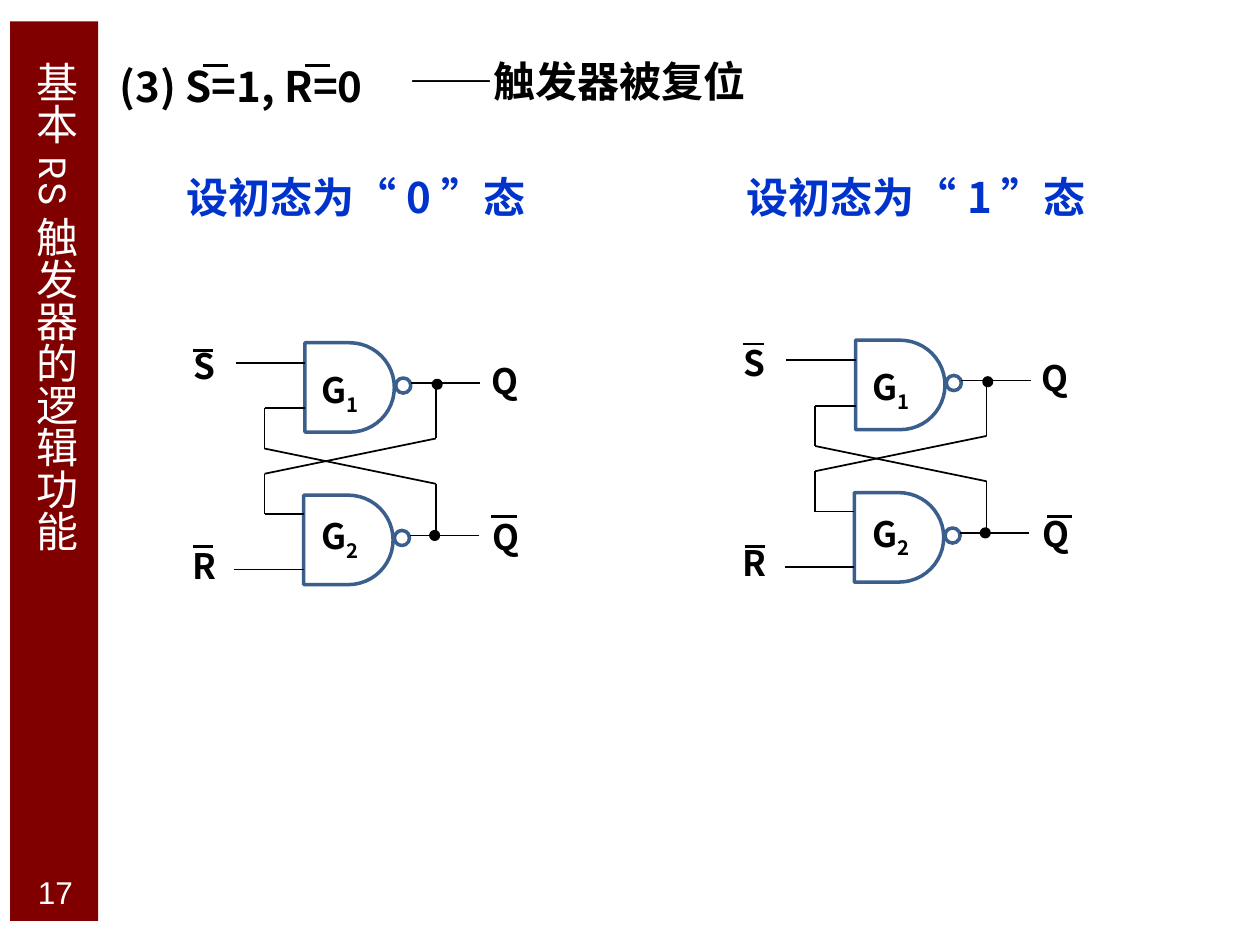
from lxml import etree
from pptx import Presentation
from pptx.dml.color import RGBColor
from pptx.enum.shapes import MSO_CONNECTOR, MSO_SHAPE
from pptx.enum.text import MSO_ANCHOR, PP_ALIGN
from pptx.oxml.ns import qn
from pptx.util import Inches, Pt

COLORS = {"band": "800000", "white": "FFFFFF", "black": "000000",
          "blue": "0033CC", "gate": "3A5F8C"}
BODY_FONT = "Noto Sans CJK SC"


class SlideBuilder:
    """Holds the style and the current slide; shapes is the current target."""

    def __init__(self, prs):
        self.s = prs.slides.add_slide(prs.slide_layouts[5])
        self.shapes = self.s.shapes

    def begin_group(self):
        self.shapes = self.s.shapes.add_group_shape().shapes

    def end_group(self):
        self.shapes = self.s.shapes

    def color(self, name):
        return RGBColor.from_string(COLORS[name])

    def style(self, p, size, color, font=BODY_FONT, bold=True):
        f = p.font
        f.size, f.bold, f.name = Pt(size), bold, font
        f.color.rgb = self.color(color)
        etree.SubElement(f._element, qn("a:ea")).set("typeface", font)

    def shape(self, kind, x, y, w, h, fill=None, line=None):
        sp = self.shapes.add_shape(kind, Inches(x), Inches(y), Inches(w), Inches(h))
        sp.shadow.inherit = False
        if fill:
            sp.fill.solid()
            sp.fill.fore_color.rgb = self.color(fill)
        else:
            sp.fill.background()
        if line:
            sp.line.color.rgb = self.color(line)
            sp.line.width = Pt(2)
        else:
            sp.line.fill.background()
        return sp

    def line(self, x1, y1, x2, y2, width=1):
        c = self.shapes.add_connector(MSO_CONNECTOR.STRAIGHT, Inches(x1), Inches(y1),
                                      Inches(x2), Inches(y2))
        c.line.color.rgb = self.color("black")
        c.line.width = Pt(width)
        etree.SubElement(c._element.spPr, qn("a:effectLst"))

    def text(self, text, x, y, w, h, size=24, color="black", align=PP_ALIGN.LEFT,
             spacing=0.9, sub=None, wrap=True):
        tf = self.shapes.add_textbox(Inches(x), Inches(y), Inches(w), Inches(h)).text_frame
        tf.word_wrap = wrap
        p = tf.paragraphs[0]
        p.alignment, p.line_spacing = align, spacing
        p.add_run().text = text
        if sub:
            r = p.add_run()
            r.text = sub
            r._r.get_or_add_rPr().set("baseline", "-25000")
        self.style(p, size, color)

    def title(self, text, x, y, w, h):
        sp = self.s.shapes.title
        sp.left, sp.top, sp.width, sp.height = map(Inches, (x, y, w, h))
        tf = sp.text_frame
        tf.text = text
        tf.word_wrap = True
        tf.vertical_anchor = MSO_ANCHOR.MIDDLE
        tf._txBody.bodyPr.set("vert", "eaVert")
        p = tf.paragraphs[0]
        p.alignment = PP_ALIGN.LEFT
        self.style(p, 24, "white", "Karla", False)
        self.s.shapes._spTree.append(sp._element)  # in front of the band

    def page_number(self, text, x, y, w, h):
        tf = self.shape(MSO_SHAPE.RECTANGLE, x, y, w, h).text_frame
        tf.text = text
        tf.vertical_anchor = MSO_ANCHOR.MIDDLE
        p = tf.paragraphs[0]
        p.alignment = PP_ALIGN.CENTER
        self.style(p, 18, "white", "Arial", False)

    def gate(self, x, y, number, label_x, label_y):
        self.shape(MSO_SHAPE.OVAL, x + 0.72, y + 0.28, 0.12, 0.12, line="gate")
        self.shape(MSO_SHAPE.FLOWCHART_DELAY, x, y, 0.71, 0.71, line="gate")
        self.text("G", label_x, label_y, 0.64, 0.4, 20, align=PP_ALIGN.CENTER, sub=number)

    def latch(self, x, y, bars):
        """RS latch; x, y is the left end of the S wire."""
        self.begin_group()
        # Gates
        self.gate(x + 0.55, y - 0.16, "1", x + 0.51, y)
        self.gate(x + 0.54, y + 1.05, "2", x + 0.51, y + 1.16)
        # Inputs, outputs and cross-coupled feedback
        for x1, y1, x2, y2 in [
            (0, 0, 0.55, 0), (-0.01, 1.64, 0.54, 1.64),
            (1.39, 0.16, 1.94, 0.16), (1.38, 1.37, 1.93, 1.37),
            (0.23, 0.36, 0.55, 0.36), (0.23, 0.36, 0.23, 0.68),
            (0.23, 0.68, 1.59, 0.96), (1.59, 0.96, 1.59, 1.36),
            (0.23, 1.2, 0.54, 1.2), (0.23, 0.88, 0.23, 1.2),
            (1.59, 0.6, 0.23, 0.88), (1.59, 0.16, 1.59, 0.6),
        ]:
            self.line(x + x1, y + y1, x + x2, y + y2)
        # Junctions
        for dx, dy in [(1.57, 0.14), (1.55, 1.34)]:
            self.shape(MSO_SHAPE.OVAL, x + dx, y + dy, 0.06, 0.06, "black", "black")
        # Signal names and inversion bars
        for name, dx, dy, align in [
            ("S", -0.57, -0.16, PP_ALIGN.CENTER), ("R", -0.57, 1.43, PP_ALIGN.CENTER),
            ("Q", 1.7, -0.04, PP_ALIGN.RIGHT), ("Q", 1.71, 1.2, PP_ALIGN.RIGHT),
        ]:
            self.text(name, x + dx, y + dy, 0.64, 0.4, 20, align=align)
        for bar_x, bar_y, length in bars:
            self.line(bar_x, bar_y, bar_x + length, bar_y, 1.5)
        self.end_group()


def main():
    prs = Presentation()
    prs.slide_width, prs.slide_height = Inches(10), Inches(7.5)
    b = SlideBuilder(prs)

    # Side band with title and page number
    b.shape(MSO_SHAPE.RECTANGLE, 0.08, 0.17, 0.7, 7.14, fill="band")
    b.page_number("17", 0.12, 6.9, 0.64, 0.35)
    b.title("基本RS触发器的逻辑功能", 0.12, 0.44, 0.65, 6.72)

    # Input condition and result
    b.begin_group()
    b.text("(3) S=1, R=0", 0.85, 0.48, 9.15, 0.47)
    for x in (1.61, 2.42):
        b.line(x, 0.52, x + 0.2, 0.52, 2)
    b.end_group()
    b.text("——触发器被复位", 3.15, 0.44, 2.91, 0.47, wrap=False)

    # Initial states
    for x, state in [(1.38, "0"), (5.83, "1")]:
        b.text(f"设初态为“{state}”态", x, 1.31, 2.91, 0.5, color="blue", spacing=1.0)

    # Latches
    b.latch(1.87, 2.88, [(1.53, 2.78, 0.16), (1.53, 4.34, 0.16), (3.9, 4.1, 0.2)])
    b.latch(6.24, 2.86, [(5.9, 2.73, 0.16), (5.91, 4.34, 0.16), (8.31, 4.1, 0.2)])

    prs.save("out.pptx")


if __name__ == "__main__":
    main()
